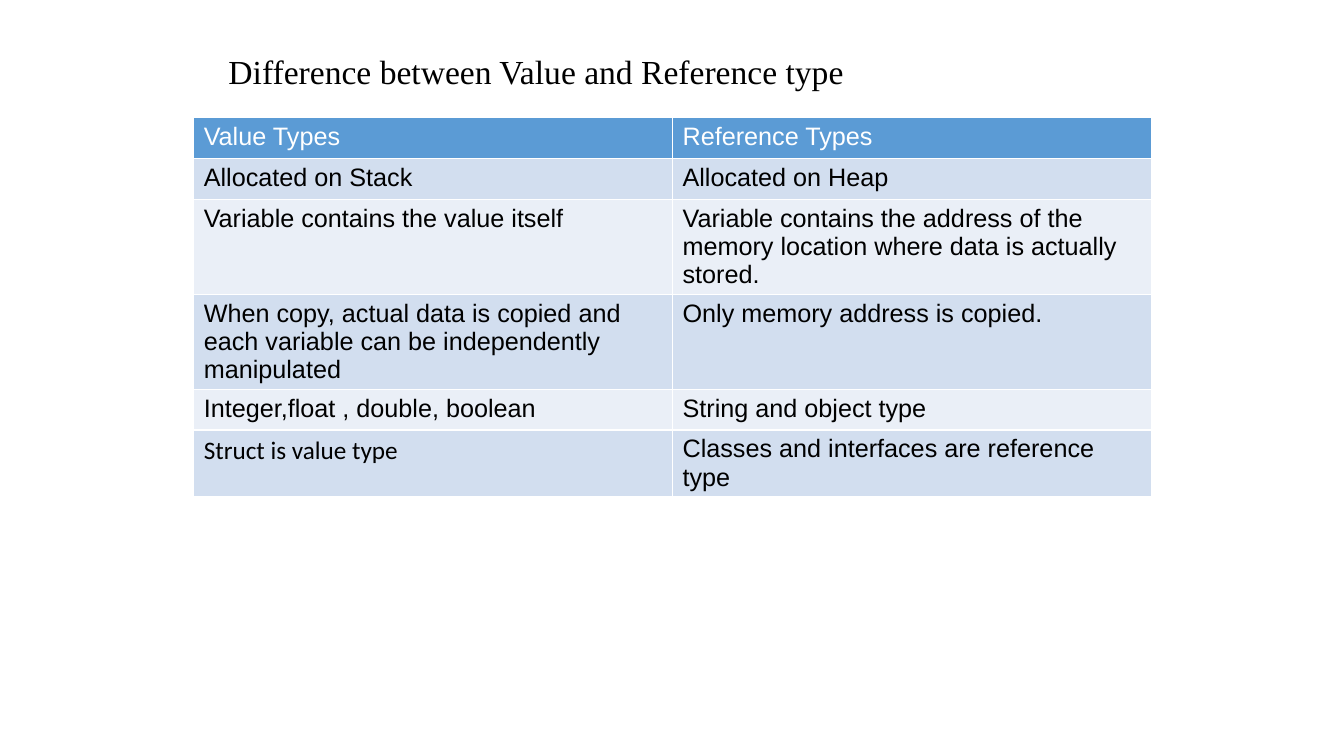
from lxml.etree import SubElement
from pptx import Presentation
from pptx.dml.color import RGBColor
from pptx.enum.text import MSO_ANCHOR, MSO_AUTO_SIZE, PP_ALIGN
from pptx.oxml.ns import qn
from pptx.util import Pt

HEADER_FILL = "5B9BD5"
BAND_FILLS = ("EAEFF7", "D2DEEF")
ROWS = [
    ("Value Types", "Reference Types"),
    ("Allocated on Stack", "Allocated on Heap"),
    ("Variable contains the value itself",
     "Variable contains the address of the memory location where data is actually stored."),
    ("When copy, actual data is copied and each variable can be independently manipulated",
     "Only memory address is copied."),
    ("Integer,float , double, boolean", "String and object type"),
    ("Struct is value type", "Classes and interfaces are reference type"),
]
CELL_FONTS = {(5, 0): "Calibri"}


def color(hex_value):
    return RGBColor.from_string(hex_value)


def format_font(paragraph, name, size, hex_value):
    paragraph.font.name = name
    paragraph.font.size = Pt(size)
    paragraph.font.bold = False
    paragraph.font.color.rgb = color(hex_value)


def add_borders(cell, hex_value, width):
    properties = cell._tc.get_or_add_tcPr()
    for index, side in enumerate(("lnL", "lnR", "lnT", "lnB")):
        line = SubElement(properties, qn(f"a:{side}"), w=str(Pt(width)))
        fill = SubElement(line, qn("a:solidFill"))
        SubElement(fill, qn("a:srgbClr"), val=hex_value)
        properties.insert(index, line)


def place_title(slide, left, top, width, height):
    title = slide.shapes.title
    title.left, title.top = Pt(left), Pt(top)
    title.width, title.height = Pt(width), Pt(height)
    frame = title.text_frame
    frame.text = "Difference between Value and Reference type"
    frame.word_wrap = True
    frame.auto_size = MSO_AUTO_SIZE.NONE
    frame.vertical_anchor = MSO_ANCHOR.MIDDLE
    paragraph = frame.paragraphs[0]
    paragraph.alignment = PP_ALIGN.LEFT
    paragraph.line_spacing = 0.9
    format_font(paragraph, "Times New Roman", 24, "000000")


def add_comparison_table(slide, left, top, width, row_height):
    table = slide.shapes.add_table(
        len(ROWS), len(ROWS[0]), Pt(left), Pt(top), Pt(width), Pt(row_height * len(ROWS))
    ).table
    for row_index, texts in enumerate(ROWS):
        is_header = row_index == 0
        for column_index, text in enumerate(texts):
            cell = table.cell(row_index, column_index)
            cell.text = text
            cell.fill.solid()
            cell.fill.fore_color.rgb = color(HEADER_FILL if is_header else BAND_FILLS[row_index % 2])
            add_borders(cell, "FFFFFF", 1)
            name = CELL_FONTS.get((row_index, column_index), "Arial")
            format_font(cell.text_frame.paragraphs[0], name, 18, "FFFFFF" if is_header else "000000")


presentation = Presentation()
presentation.slide_width, presentation.slide_height = Pt(960), Pt(540)
slide = presentation.slides.add_slide(presentation.slide_layouts.get_by_name("Title Only"))
place_title(slide, 156, 21.6, 648, 62.6)
add_comparison_table(slide, 138.4, 84.2, 684, 29.2)
presentation.save("out.pptx")
